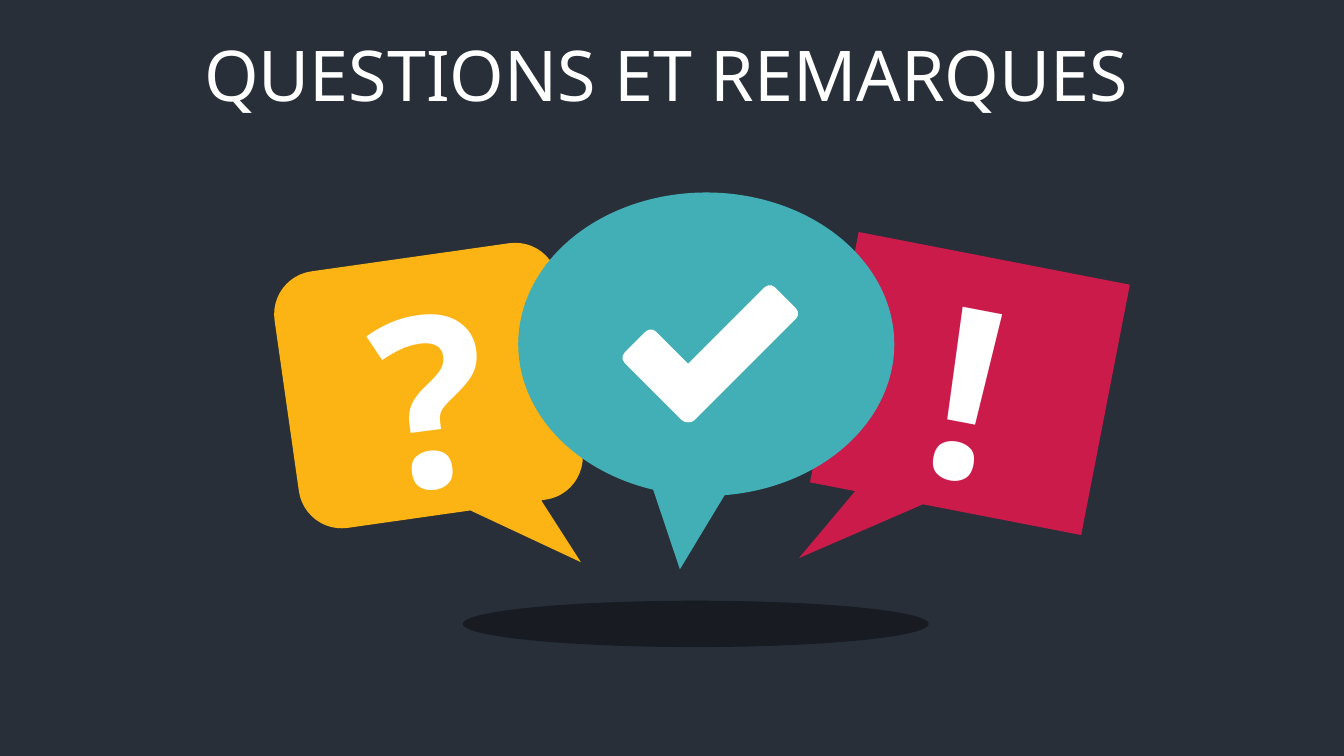
from lxml import etree
from pptx import Presentation
from pptx.dml.color import RGBColor
from pptx.enum.shapes import MSO_SHAPE
from pptx.enum.text import PP_ALIGN
from pptx.oxml.ns import qn
from pptx.util import Inches, Pt

ROUND_CALLOUT = MSO_SHAPE.ROUNDED_RECTANGULAR_CALLOUT
RECT_CALLOUT = MSO_SHAPE.RECTANGULAR_CALLOUT
OVAL_CALLOUT = MSO_SHAPE.OVAL_CALLOUT
BAR = MSO_SHAPE.ROUNDED_RECTANGLE
OVAL = MSO_SHAPE.OVAL
CENTER = PP_ALIGN.CENTER

FONT = "Noto Sans"
COLORS = {
    "background": "282F39",
    "yellow": "FCB414",
    "red": "CB1B4A",
    "teal": "42AFB6",
    "white": "FFFFFF",
    "black": "000000",
}
BUBBLES = [
    (ROUND_CALLOUT, (2.83, 2.54, 2.84, 2.57), 351.9, "yellow", (0.44, 0.758, 0.167)),
    (RECT_CALLOUT, (8.25, 2.54, 2.74, 2.53), 11, "red", (-0.487, 0.8)),
    (OVAL_CALLOUT, (5.14, 1.91, 3.73, 3.01), 0, "teal", (-0.07, 0.742)),
]
CHECK_BARS = [
    ((6.16, 3.51, 0.95, 0.44), 45),
    ((6.45, 3.29, 1.57, 0.44), 135),
]
TEXTS = [
    ("!", (8.2, 2.35, 2.81, 2.96), 10.9, 170, True),
    ("?", (2.87, 2.42, 2.81, 2.96), 352.6, 170, True),
    ("QUESTIONS ET REMARQUES", (1.32, 0.26, 10.58, 0.94), 0, 50, False),
]
GROUND_SHADOW = (4.59, 5.96, 4.62, 0.46)
SHADOW_ALPHA = 40


def rgb(name):
    return RGBColor.from_string(COLORS[name])


def add_shape(shapes, kind, box, rotation, color, adjustments=()):
    sp = shapes.add_shape(kind, *map(Inches, box))
    sp.rotation = rotation
    sp.shadow.inherit = False
    sp.fill.solid()
    sp.fill.fore_color.rgb = rgb(color)
    sp.line.fill.background()
    for i, value in enumerate(adjustments):
        sp.adjustments[i] = value
    return sp


def add_text(shapes, text, box, rotation, size, bold):
    tb = shapes.add_textbox(*map(Inches, box))
    tb.rotation = rotation
    tf = tb.text_frame
    tf.word_wrap = True
    p = tf.paragraphs[0]
    p.text = text
    p.alignment = CENTER
    p.font.name = FONT
    p.font.size = Pt(size)
    p.font.bold = bold
    p.font.color.rgb = rgb("white")


prs = Presentation()
prs.slide_width = Inches(13.33)
prs.slide_height = Inches(7.5)
s = prs.slides.add_slide(prs.slide_layouts[6])
s.background.fill.solid()
s.background.fill.fore_color.rgb = rgb("background")

for kind, box, rotation, color, adjustments in BUBBLES:
    add_shape(s.shapes, kind, box, rotation, color, adjustments)

check = s.shapes.add_group_shape()
for box, rotation in CHECK_BARS:
    add_shape(check.shapes, BAR, box, rotation, "white")

*marks, title = TEXTS
for mark in marks:
    add_text(s.shapes, *mark)

shadow = add_shape(s.shapes, OVAL, GROUND_SHADOW, 0, "black")
color = shadow.fill._xPr.find(qn("a:solidFill"))[0]
etree.SubElement(color, qn("a:alpha"), val=str(SHADOW_ALPHA * 1000))

add_text(s.shapes, *title)

prs.save("out.pptx")
